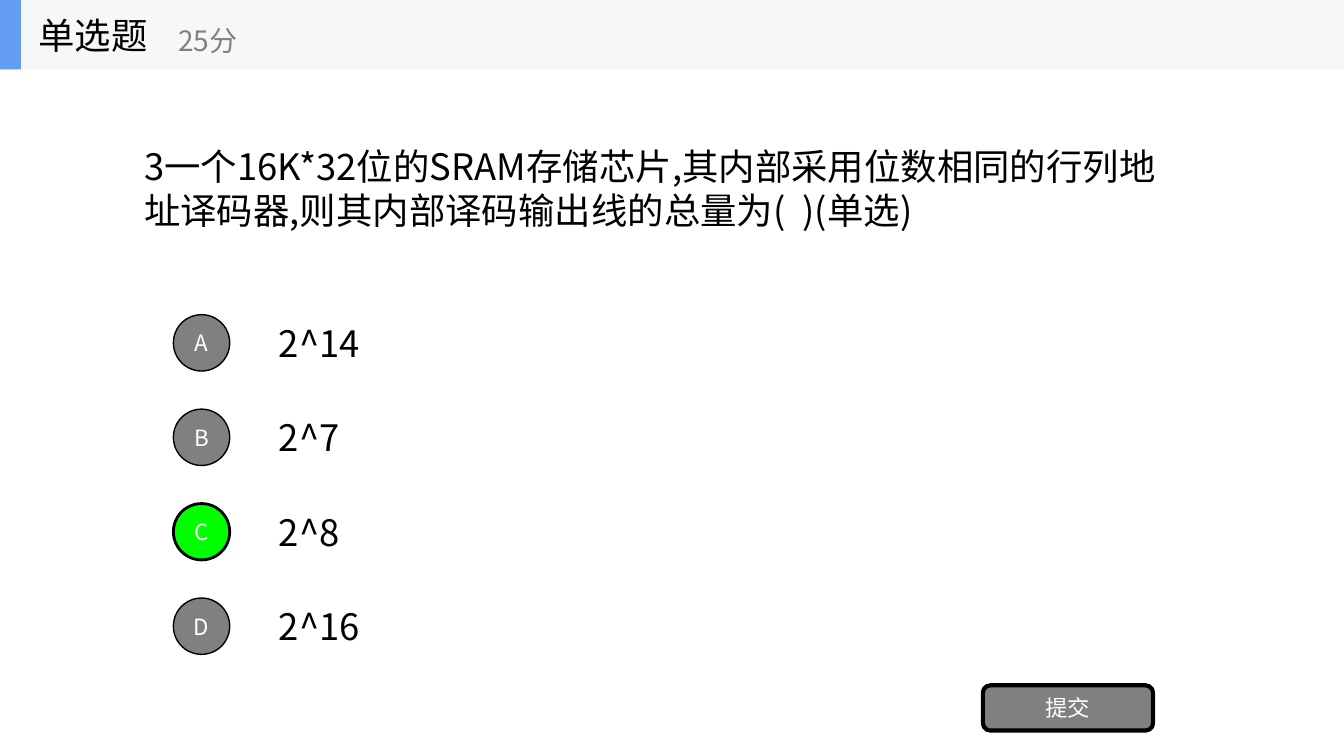
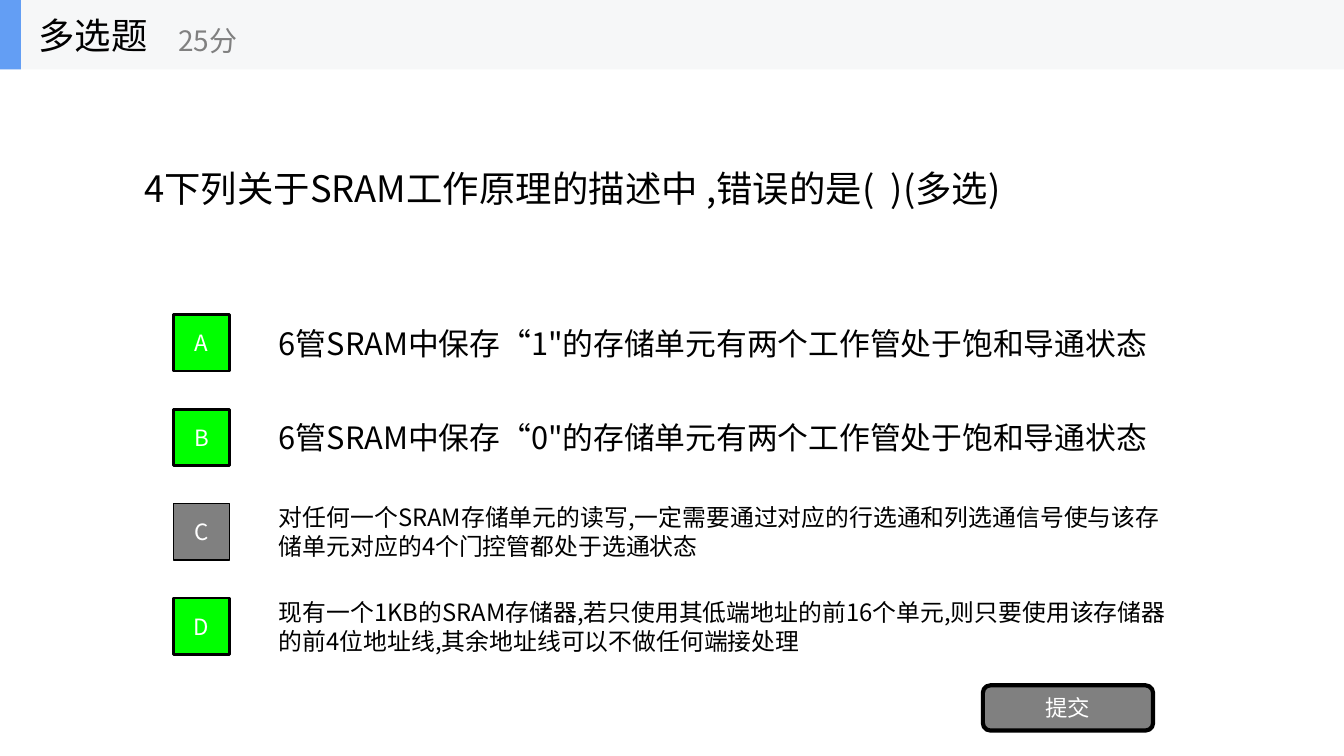
import pptx
import pptx.dml.color
import pptx.enum.shapes
import pptx.enum.text
import pptx.oxml.ns
import pptx.util
from lxml import etree

Cm = pptx.util.Cm
Shape = pptx.enum.shapes.MSO_SHAPE
Align = pptx.enum.text.PP_ALIGN

FONT = "Noto Sans CJK SC"
BLACK, WHITE, GREY = "000000", "FFFFFF", "808080"
BAND, ACCENT, CORRECT = "F6F7F8", "639EF4", "00FF00"
SLIDE_WIDTH, SLIDE_HEIGHT, BAND_HEIGHT = 33.87, 19.05, 1.75

# Answer rows: centre of the first row, distance between rows, sizes
FIRST_ROW, ROW_PITCH = 8.64, 2.38
MARKER_SIZE, ANSWER_HEIGHT = 1.42, 1.7

QUESTIONS = [
    {
        "kind": "单选题",
        "text": "3一个16K*32位的SRAM存储芯片,其内部采用位数相同的行列地址译码器,"
                "则其内部译码输出线的总量为(  )(单选)",
        "width": 26.34,
        "marker": Shape.OVAL,
        "correct": "C",
        "answers": [("2^14", 26), ("2^7", 26), ("2^8", 26), ("2^16", 26)],
    },
    {
        "kind": "多选题",
        "text": "4下列关于SRAM工作原理的描述中 ,错误的是(  )(多选)",
        "width": 22.76,
        "marker": Shape.RECTANGLE,
        "correct": "ABD",
        "answers": [
            ("6管SRAM中保存“1\"的存储单元有两个工作管处于饱和导通状态", 22),
            ("6管SRAM中保存“0\"的存储单元有两个工作管处于饱和导通状态", 22),
            ("对任何一个SRAM存储单元的读写,一定需要通过对应的行选通和列选通信号"
             "使与该存储单元对应的4个门控管都处于选通状态", 17),
            ("现有一个1KB的SRAM存储器,若只使用其低端地址的前16个单元,则只要使用"
             "该存储器的前4位地址线,其余地址线可以不做任何端接处理", 17),
        ],
    },
]


def color(value):
    return pptx.dml.color.RGBColor.from_string(value)


class QuizDeck:
    """Holds the quiz style and the current slide."""

    def __init__(self):
        self.presentation = pptx.Presentation()
        self.presentation.slide_width = Cm(SLIDE_WIDTH)
        self.presentation.slide_height = Cm(SLIDE_HEIGHT)
        self.slide = None

    def set_text(self, shape, text, size, text_color, align=Align.LEFT):
        frame = shape.text_frame
        frame.text = text
        frame.word_wrap = True
        frame.auto_size = pptx.enum.text.MSO_AUTO_SIZE.NONE
        frame.vertical_anchor = pptx.enum.text.MSO_ANCHOR.MIDDLE
        paragraph = frame.paragraphs[0]
        paragraph.alignment = align
        paragraph.font.size = pptx.util.Pt(size)
        paragraph.font.color.rgb = color(text_color)
        paragraph.font.name = FONT
        # East Asian characters take their own font element
        qn = pptx.oxml.ns.qn
        properties = paragraph._p.pPr.find(qn("a:defRPr"))
        etree.SubElement(properties, qn("a:ea"), typeface=FONT)

    def text(self, left, top, width, height, text, size, text_color=BLACK):
        box = self.slide.shapes.add_textbox(Cm(left), Cm(top), Cm(width), Cm(height))
        self.set_text(box, text, size, text_color)

    def block(self, kind, left, top, width, height, fill, line=0, label=None):
        shape = self.slide.shapes.add_shape(
            kind, Cm(left), Cm(top), Cm(width), Cm(height))
        shape.shadow.inherit = False
        shape.fill.solid()
        shape.fill.fore_color.rgb = color(fill)
        if line:
            shape.line.color.rgb = color(BLACK)
            shape.line.width = pptx.util.Pt(line)
        else:
            shape.line.fill.background()
        if label:
            self.set_text(shape, label, 16, WHITE, Align.CENTER)

    def header(self, kind):
        self.block(Shape.RECTANGLE, 0, 0, SLIDE_WIDTH, BAND_HEIGHT, BAND)
        self.block(Shape.RECTANGLE, 0, 0, 0.53, BAND_HEIGHT, ACCENT)
        title = self.slide.shapes.title
        title.left, title.top = Cm(0.71), Cm(0)
        title.width, title.height = Cm(5.28), Cm(BAND_HEIGHT)
        self.set_text(title, kind, 26, BLACK)
        # Bring the title in front of the band
        title.element.getparent().append(title.element)
        self.text(4.24, 0.3, 6.35, 1.42, "25分", 20, GREY)

    def answer(self, row, marker, letter, text, size, correct):
        center = FIRST_ROW + row * ROW_PITCH
        self.text(6.78, center - ANSWER_HEIGHT / 2, 22.96, ANSWER_HEIGHT, text, size)
        self.block(marker, 4.37, center - MARKER_SIZE / 2, MARKER_SIZE, MARKER_SIZE,
                   CORRECT if correct else GREY, 2 if correct else 1, letter)

    def question(self, question):
        layout = self.presentation.slide_layouts[5]
        self.slide = self.presentation.slides.add_slide(layout)
        self.header(question["kind"])
        self.text(3.38, 3.51, question["width"], 2.46, question["text"], 26)
        for row, (text, size) in enumerate(question["answers"]):
            letter = "ABCD"[row]
            self.answer(row, question["marker"], letter, text, size,
                        letter in question["correct"])
        # Submit button
        self.block(Shape.ROUNDED_RECTANGLE, 24.77, 17.27, 4.29, 1.14, GREY, 3, "提交")


def main():
    deck = QuizDeck()
    for question in QUESTIONS:
        deck.question(question)
    deck.presentation.save("out.pptx")


if __name__ == "__main__":
    main()
